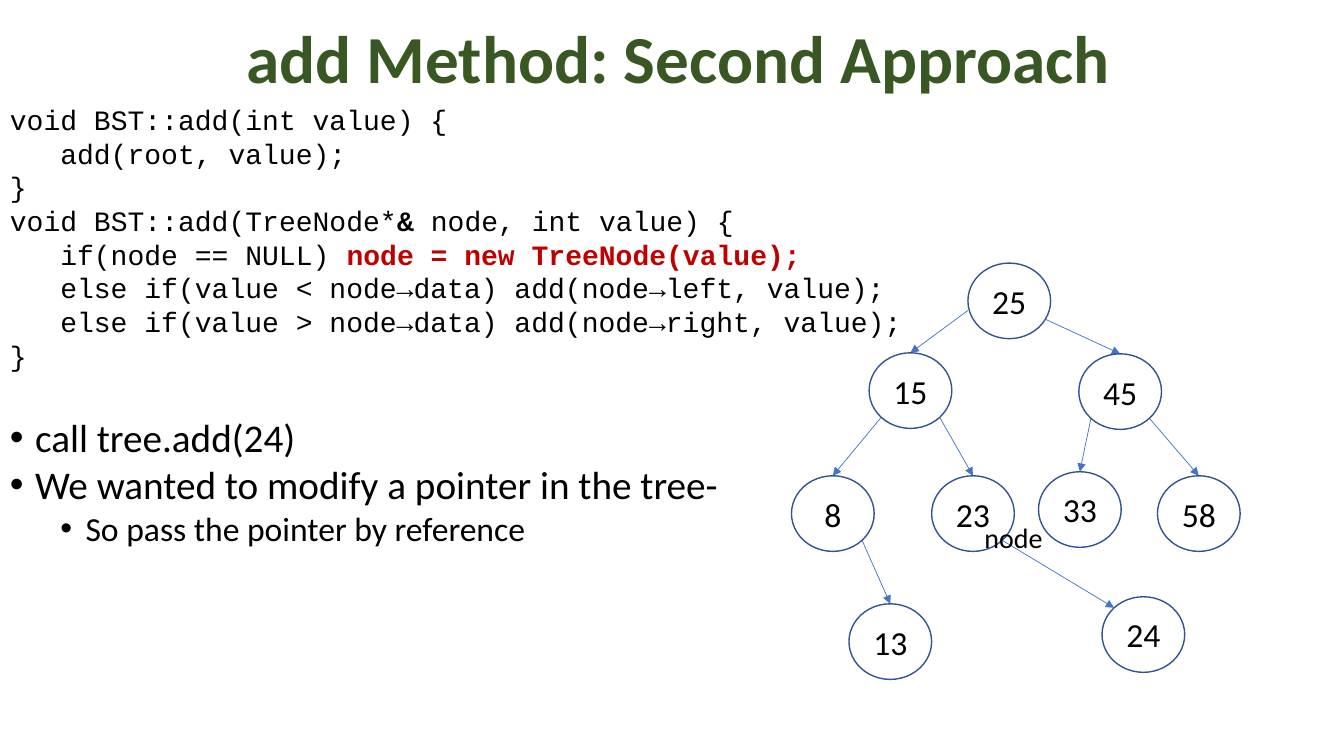
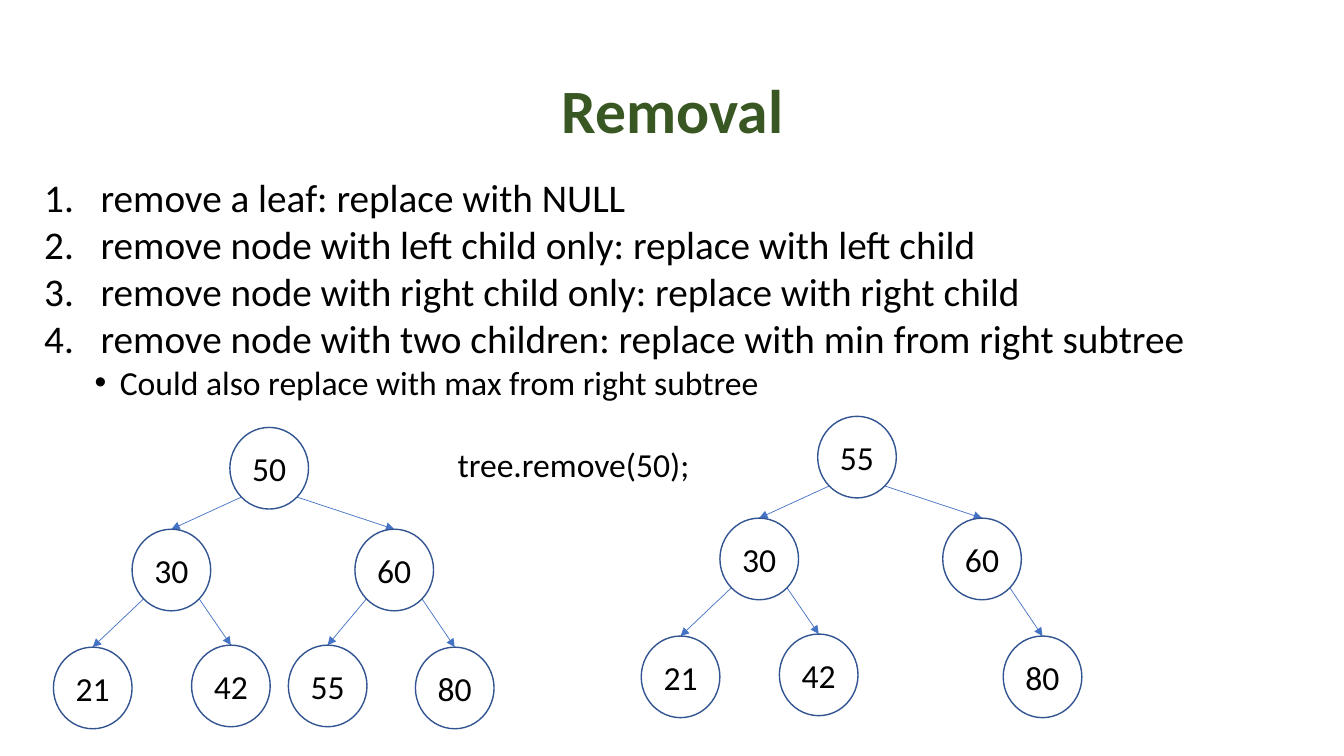
from math import sqrt
from lxml.etree import SubElement
from pptx import Presentation
from pptx.dml.color import RGBColor
from pptx.enum.shapes import MSO_CONNECTOR, MSO_SHAPE
from pptx.enum.text import MSO_ANCHOR, MSO_AUTO_SIZE, PP_ALIGN
from pptx.oxml.ns import qn
from pptx.util import Inches, Pt

GREEN, RED, BLACK, WHITE = "385723", "C00000", "000000", "FFFFFF"
OUTLINE, ARROW = "325491", "4472C4"
SANS, MONO = "Calibri", "Courier New"
LEADING = 1.2


def rgb(color):
    return RGBColor.from_string(color)


def style(r, size, font=SANS, color=BLACK, bold=False):
    r.font.size = Pt(size)
    r.font.name = font
    r.font.color.rgb = rgb(color)
    r.font.bold = bold


def add_title_slide(prs, text, box, size):
    s = prs.slides.add_slide(prs.slide_layouts[5])
    sp = s.shapes.title
    sp.left, sp.top, sp.width, sp.height = map(Inches, box)
    tf = sp.text_frame
    tf.text = text
    tf.auto_size = MSO_AUTO_SIZE.NONE
    tf.vertical_anchor = MSO_ANCHOR.MIDDLE
    p = tf.paragraphs[0]
    p.alignment = PP_ALIGN.CENTER
    p.line_spacing = 0.9
    style(p.runs[0], size, color=GREEN, bold=True)
    return s


def add_text_box(s, box):
    tf = s.shapes.add_textbox(*map(Inches, box)).text_frame
    tf.word_wrap = True
    return tf


def add_label(s, text, box, size, align=PP_ALIGN.LEFT):
    tf = add_text_box(s, box)
    tf.text = text
    p = tf.paragraphs[0]
    p.alignment = align
    style(p.runs[0], size)


def next_paragraph(tf, size, margin=0.0, hang=0.0):
    first = tf.paragraphs[0]
    p = tf.add_paragraph() if first.runs else first
    p.line_spacing = Pt(size * LEADING)
    pPr = p._p.get_or_add_pPr()
    pPr.set("marL", str(Inches(margin)))
    pPr.set("indent", str(-Inches(hang)))
    return p


def add_code(tf, lines, size=20):
    for indent, parts in lines:
        p = next_paragraph(tf, size, indent * 0.5)
        for text, color, bold in parts:
            r = p.add_run()
            r.text = text
            style(r, size, MONO, color, bold)


def add_item(tf, text, size, margin, hang, numbered=False):
    p = next_paragraph(tf, size, margin, hang)
    r = p.add_run()
    r.text = text
    style(r, size)
    pPr = p._p.get_or_add_pPr()
    if numbered:
        SubElement(pPr, qn("a:buAutoNum"), type="arabicPeriod")
    else:
        SubElement(pPr, qn("a:buFont"), typeface="Arial")
        SubElement(pPr, qn("a:buChar"), char="•")
    return p


def add_arrow(s, start, end):
    c = s.shapes.add_connector(MSO_CONNECTOR.STRAIGHT, *map(Inches, start + end))
    c.line.color.rgb = rgb(ARROW)
    c.line.width = Pt(0.5)
    SubElement(c.line._get_or_add_ln(), qn("a:tailEnd"), type="triangle")
    SubElement(c._element.spPr, qn("a:effectLst"))


def add_node(s, text, box):
    sp = s.shapes.add_shape(MSO_SHAPE.OVAL, *map(Inches, box))
    sp.shadow.inherit = False
    sp.fill.solid()
    sp.fill.fore_color.rgb = rgb(WHITE)
    sp.line.color.rgb = rgb(OUTLINE)
    sp.line.width = Pt(1)
    tf = sp.text_frame
    tf.margin_left = tf.margin_right = 0
    tf.vertical_anchor = MSO_ANCHOR.MIDDLE
    tf.text = text
    p = tf.paragraphs[0]
    p.alignment = PP_ALIGN.CENTER
    style(p.runs[0], 24)


def add_tree(s, origin, node_size, spots, values, root_shift=(0, 0), corner_ends=()):
    w, h = node_size
    dx, dy = w / sqrt(8), h / sqrt(8)
    corners = {i: (origin[0] + spots[i][0], origin[1] + spots[i][1]) for i in values}
    for i in values:
        if i == 0:
            continue
        parent = (i - 1) // 2
        shift = root_shift if parent == 0 else (0, 0)
        side = dx if i % 2 == 0 else -dx
        px, py = corners[parent]
        x, y = corners[i]
        start = (px + w / 2 + side + shift[0], py + h / 2 + dy + shift[1])
        end = (x + w / 2, y)
        if i in corner_ends:
            end = (x + w / 2 - dx, y + h / 2 - dy)
        add_arrow(s, start, end)
    for i, value in values.items():
        add_node(s, str(value), corners[i] + node_size)


def plain(text):
    return text, BLACK, False


def build_add_slide(prs):
    s = add_title_slide(prs, "add Method: Second Approach", (1.04, 0, 11.38, 1.23), 48)
    tf = add_text_box(s, (0, 0.97, 13, 6.2))
    add_code(tf, [
        (0, [plain("void BST::add(int value) {")]),
        (1, [plain("add(root, value);")]),
        (0, [plain("}")]),
        (0, [plain("void BST::add(TreeNode*"), ("&", BLACK, True),
             plain(" node, int value) {")]),
        (1, [plain("if(node == NULL) "), ("node = new TreeNode(value);", RED, True)]),
        (1, [plain("else if(value < node→data) add(node→left, value);")]),
        (1, [plain("else if(value > node→data) add(node→right, value);")]),
        (0, [plain("}")]),
    ])
    p = add_item(tf, "call tree.add(24)", 28, 0.25, 0.25)
    p.space_before = Pt(30)
    add_item(tf, "We wanted to modify a pointer in the tree-", 28, 0.25, 0.25)
    add_item(tf, "So pass the pointer by reference", 24, 0.75, 0.25)

    spots = {0: (1.75, 0), 1: (0.77, 0.89), 2: (2.85, 0.9),
             3: (0, 2.11), 4: (1.39, 2.11), 5: (2.45, 2.07), 6: (3.63, 2.11),
             8: (0.57, 3.38), 10: (3.08, 3.31)}
    values = dict(zip(spots, (25, 15, 45, 8, 23, 33, 58, 13, 24)))
    add_tree(s, (7.85, 2.61), (0.82, 0.75), spots, values, (-0.12, -0.17), (10,))
    add_label(s, "node", (9.5, 5.11, 0.94, 0.44), 20, PP_ALIGN.RIGHT)


def build_removal_slide(prs):
    s = add_title_slide(prs, "Removal", (0.92, 0.4, 11.5, 1.45), 44)
    tf = add_text_box(s, (0.34, 1.67, 12.07, 5.15))
    for text in ("remove a leaf: replace with NULL",
                 "remove node with left child only: replace with left child",
                 "remove node with right child only: replace with right child",
                 "remove node with two children: replace with min from right subtree"):
        add_item(tf, text, 28, 0.56, 0.56, numbered=True)
    add_item(tf, "Could also replace with max from right subtree", 24, 0.75, 0.25)

    spots = [(1.75, 0), (0.78, 1.01), (2.99, 1.01),
             (0, 2.18), (1.37, 2.16), (2.33, 2.16), (3.59, 2.18)]
    before = dict(enumerate((50, 30, 60, 21, 42, 55, 80)))
    after = {i: v for i, v in before.items() if i != 5}
    after[0] = before[5]
    for origin, values in (((0.53, 4.24), before), ((6.36, 4.13), after)):
        add_tree(s, origin, (0.78, 0.81), spots, values)
    add_label(s, "tree.remove(50);", (4.44, 4.35, 2.54, 0.5), 24)


prs = Presentation()
prs.slide_width, prs.slide_height = Inches(13.33), Inches(7.5)
build_add_slide(prs)
build_removal_slide(prs)
prs.save("out.pptx")
